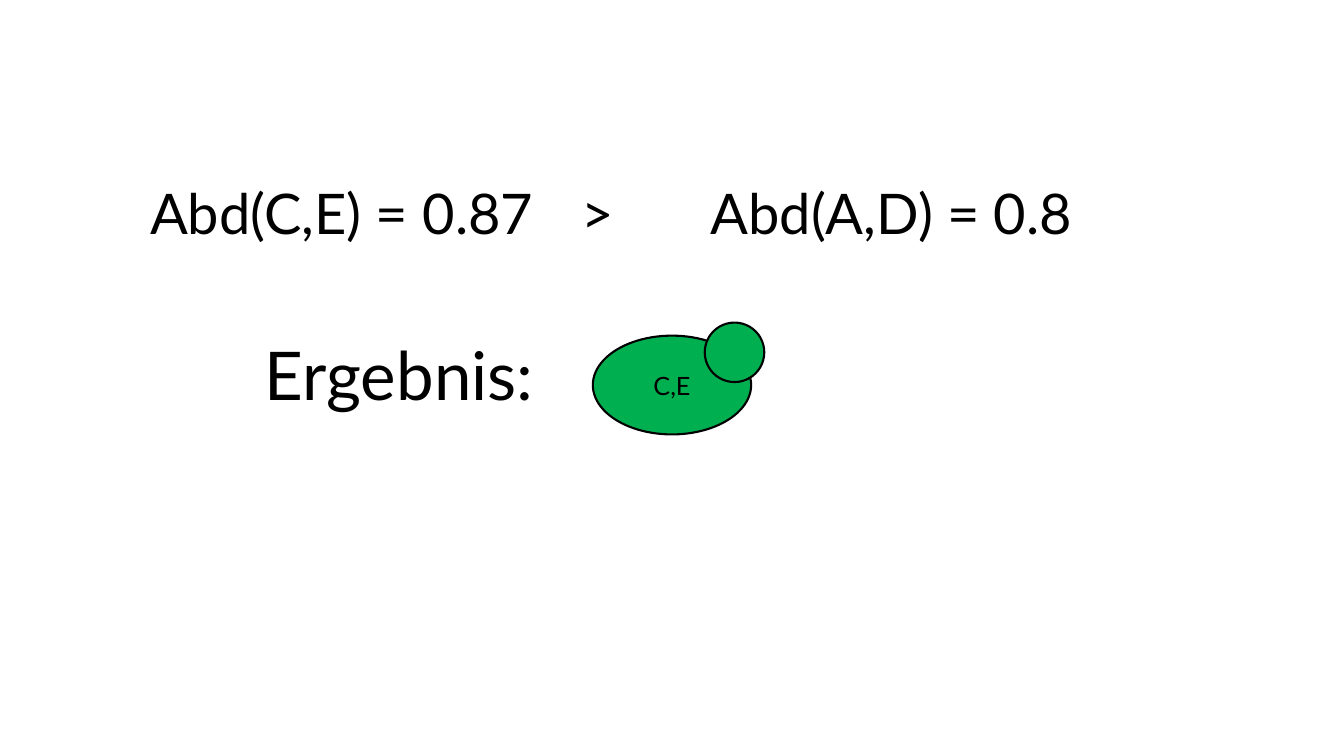
from pptx import Presentation
from pptx import util as u
from pptx.dml.color import RGBColor
from pptx.enum import shapes, text

WIDTH, HEIGHT = u.Inches(13.333), u.Inches(7.5)
FONT = "Lato"
BLACK, GREEN = "000000", "00B050"
LABEL_SIZE = (34.73, 17.73)
COMPARISON_TOP, RESULT_TOP = 19.73, 41.2


def color(value):
    return RGBColor.from_string(value)


def place(left, top, width, height):
    return (
        int(WIDTH * left / 100),
        int(HEIGHT * top / 100),
        int(WIDTH * width / 100),
        int(HEIGHT * height / 100),
    )


def write(frame, words, size):
    frame.word_wrap = True
    frame.vertical_anchor = text.MSO_ANCHOR.MIDDLE
    para = frame.paragraphs[0]
    span = para.add_run()
    span.text = words
    span.font.name = FONT
    span.font.size = u.Pt(size)
    span.font.color.rgb = color(BLACK)
    return para


def add_label(page, words, left, top, size):
    box = page.shapes.add_textbox(*place(left, top, *LABEL_SIZE))
    para = write(box.text_frame, words, size)
    para.line_spacing = 0.9


def add_cell(page, left, top, width, height, words=None):
    cell = page.shapes.add_shape(
        shapes.MSO_SHAPE.OVAL, *place(left, top, width, height)
    )
    cell.shadow.inherit = False
    cell.fill.solid()
    cell.fill.fore_color.rgb = color(GREEN)
    cell.line.color.rgb = color(BLACK)
    cell.line.width = u.Pt(1.5)
    if words:
        para = write(cell.text_frame, words, 18)
        para.alignment = text.PP_ALIGN.CENTER


def main():
    deck = Presentation()
    deck.slide_width, deck.slide_height = WIDTH, HEIGHT
    page = deck.slides.add_slide(deck.slide_layouts[6])
    for words, left in (
        ("Abd(A,D) = 0.8", 52.14),
        ("Abd(C,E) = 0.87", 10.43),
        (">", 42.53),
    ):
        add_label(page, words, left, COMPARISON_TOP, 40)
    add_label(page, "Ergebnis:", 18.98, RESULT_TOP, 48)
    add_cell(page, 44.11, 44.4, 11.78, 13.07, "C,E")
    add_cell(page, 52.44, 42.67, 4.43, 7.87)
    deck.save("out.pptx")


if __name__ == "__main__":
    main()
